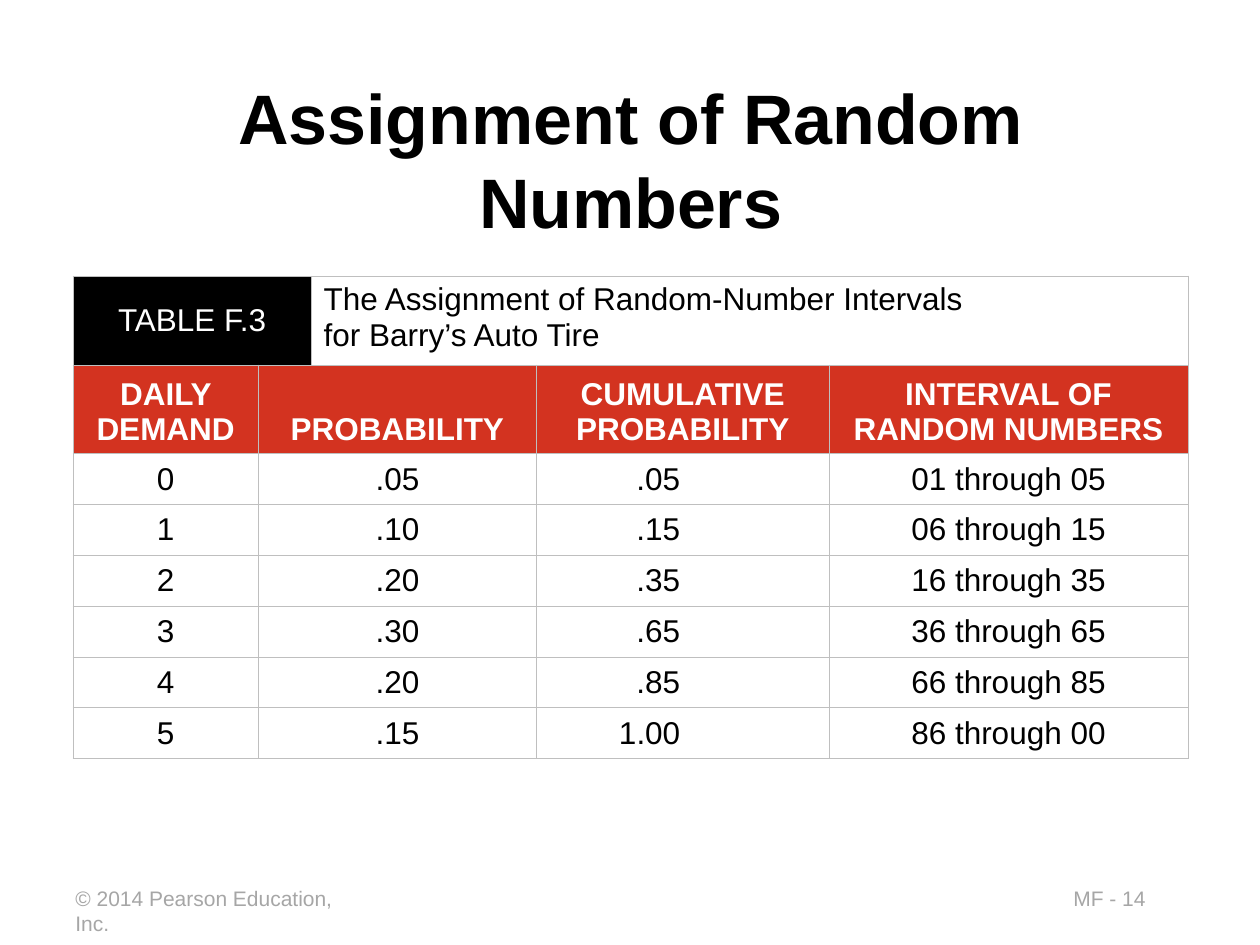
from dataclasses import dataclass

from lxml import etree
from pptx import Presentation
from pptx.dml.color import RGBColor
from pptx.enum.text import MSO_ANCHOR, MSO_AUTO_SIZE, PP_ALIGN
from pptx.oxml.ns import qn
from pptx.util import Inches, Pt

LEFT, CENTER = PP_ALIGN.LEFT, PP_ALIGN.CENTER
TOP, MIDDLE, BOTTOM = MSO_ANCHOR.TOP, MSO_ANCHOR.MIDDLE, MSO_ANCHOR.BOTTOM
FIT_SHAPE = MSO_AUTO_SIZE.SHAPE_TO_FIT_TEXT
TITLE_ONLY = 5


@dataclass(frozen=True)
class Theme:
    """Colours, font and type sizes of the slide."""
    font: str = "Arial"
    ink: str = "000000"
    paper: str = "FFFFFF"
    header: str = "D33320"
    border: str = "BFBFBF"
    footer: str = "A6A6A6"
    title_size: int = 40
    table_size: int = 18
    footer_size: int = 12
    border_width: float = 0.45


THEME = Theme()
COLUMN_WIDTHS = [1.47, 0.42, 1.79, 2.32, 2.85]
ROW_HEIGHTS = [0.7] * 2 + [0.4] * 6
DECIMAL_TAB = 1.04
HEADINGS = ["DAILY DEMAND", "PROBABILITY", "CUMULATIVE PROBABILITY",
            "INTERVAL OF RANDOM NUMBERS"]
DEMAND_ROWS = [
    ("0", ".05", ".05", "01 through 05"),
    ("1", ".10", ".15", "06 through 15"),
    ("2", ".20", ".35", "16 through 35"),
    ("3", ".30", ".65", "36 through 65"),
    ("4", ".20", ".85", "66 through 85"),
    ("5", ".15", "1.00", "86 through 00"),
]


def format_paragraph(paragraph, size, color, bold=False, align=LEFT):
    """Set the alignment and font of a paragraph."""
    paragraph.alignment = align
    font = paragraph.font
    font.name, font.size, font.bold = THEME.font, Pt(size), bold
    font.color.rgb = RGBColor.from_string(color)


def add_right_tab(paragraph, position):
    """Give a paragraph one right-aligned tab stop."""
    properties = paragraph._p.get_or_add_pPr()
    tabs = etree.SubElement(properties, qn("a:tabLst"))
    etree.SubElement(tabs, qn("a:tab"), pos=str(Inches(position)), algn="r")


def add_borders(cell):
    """Draw a thin line on all four sides of a cell."""
    properties = cell._tc.get_or_add_tcPr()
    for index, side in enumerate(("a:lnL", "a:lnR", "a:lnT", "a:lnB")):
        line = etree.Element(qn(side), w=str(Pt(THEME.border_width)))
        fill = etree.SubElement(line, qn("a:solidFill"))
        etree.SubElement(fill, qn("a:srgbClr"), val=THEME.border)
        properties.insert(index, line)


def fill_cell(cell, text, color=THEME.ink, fill=None, bold=False,
              align=CENTER, anchor=MIDDLE, tab=None):
    """Write and format the text and fill of one cell."""
    cell.text = text
    cell.vertical_anchor = anchor
    if fill:
        cell.fill.solid()
        cell.fill.fore_color.rgb = RGBColor.from_string(fill)
    paragraph = cell.text_frame.paragraphs[0]
    if tab:
        add_right_tab(paragraph, tab)
    format_paragraph(paragraph, THEME.table_size, color, bold, align)


def add_title(slide, text, left, top, width, height):
    """Place the title in the given box."""
    title = slide.shapes.title
    title.left, title.top = Inches(left), Inches(top)
    title.width, title.height = Inches(width), Inches(height)
    title.text_frame.text = text
    title.text_frame.vertical_anchor = MIDDLE
    format_paragraph(title.text_frame.paragraphs[0], THEME.title_size,
                     THEME.ink, True, CENTER)


def add_interval_table(slide, left, top, width, height):
    """Place the table of random-number intervals in the given box."""
    table = slide.shapes.add_table(
        len(ROW_HEIGHTS), len(COLUMN_WIDTHS), Inches(left), Inches(top),
        Inches(width), Inches(height)).table
    table.first_row = table.horz_banding = False
    for column, share in zip(table.columns, COLUMN_WIDTHS):
        column.width = Inches(width * share / sum(COLUMN_WIDTHS))
    for row, share in zip(table.rows, ROW_HEIGHTS):
        row.height = Inches(height * share / sum(ROW_HEIGHTS))
    for cell in table.iter_cells():
        cell.fill.background()
        add_borders(cell)

    table.cell(0, 0).merge(table.cell(0, 1))
    table.cell(0, 2).merge(table.cell(0, 4))
    fill_cell(table.cell(0, 0), "TABLE F.3", THEME.paper, THEME.ink)
    fill_cell(table.cell(0, 2),
              "The Assignment of Random-Number Intervals\vfor Barry’s Auto Tire",
              align=LEFT, anchor=TOP)

    for row, values in enumerate([HEADINGS, *DEMAND_ROWS], start=1):
        table.cell(row, 1).merge(table.cell(row, 2))
        for column, value in zip((0, 1, 3, 4), values):
            cell = table.cell(row, column)
            if row == 1:
                fill_cell(cell, value, THEME.paper, THEME.header, True,
                          anchor=BOTTOM)
            elif column == 3:
                fill_cell(cell, "\t" + value, align=LEFT, tab=DECIMAL_TAB)
            else:
                fill_cell(cell, value)


def add_footer(slide, text, left, top, width, height):
    """Place one single-line footer text in the given box."""
    frame = slide.shapes.add_textbox(
        Inches(left), Inches(top), Inches(width), Inches(height)).text_frame
    frame.word_wrap = False
    frame.auto_size = FIT_SHAPE
    frame.text = text
    format_paragraph(frame.paragraphs[0], THEME.footer_size, THEME.footer)


def main():
    """Build the slide and save it."""
    presentation = Presentation()
    presentation.slide_width, presentation.slide_height = Inches(10), Inches(7.5)
    slide = presentation.slides.add_slide(
        presentation.slide_layouts[TITLE_ONLY])
    add_footer(slide, "MF - 14", 8.42, 6.98, 1.35, 0.3)
    add_footer(slide, "© 2014 Pearson Education, Inc.", 0.5, 6.98, 2.55, 0.3)
    add_title(slide, "Assignment of Random Numbers", 0.58, 0.52, 8.85, 1.47)
    add_interval_table(slide, 0.58, 2.19, 8.85, 3.83)
    presentation.save("out.pptx")


if __name__ == "__main__":
    main()
